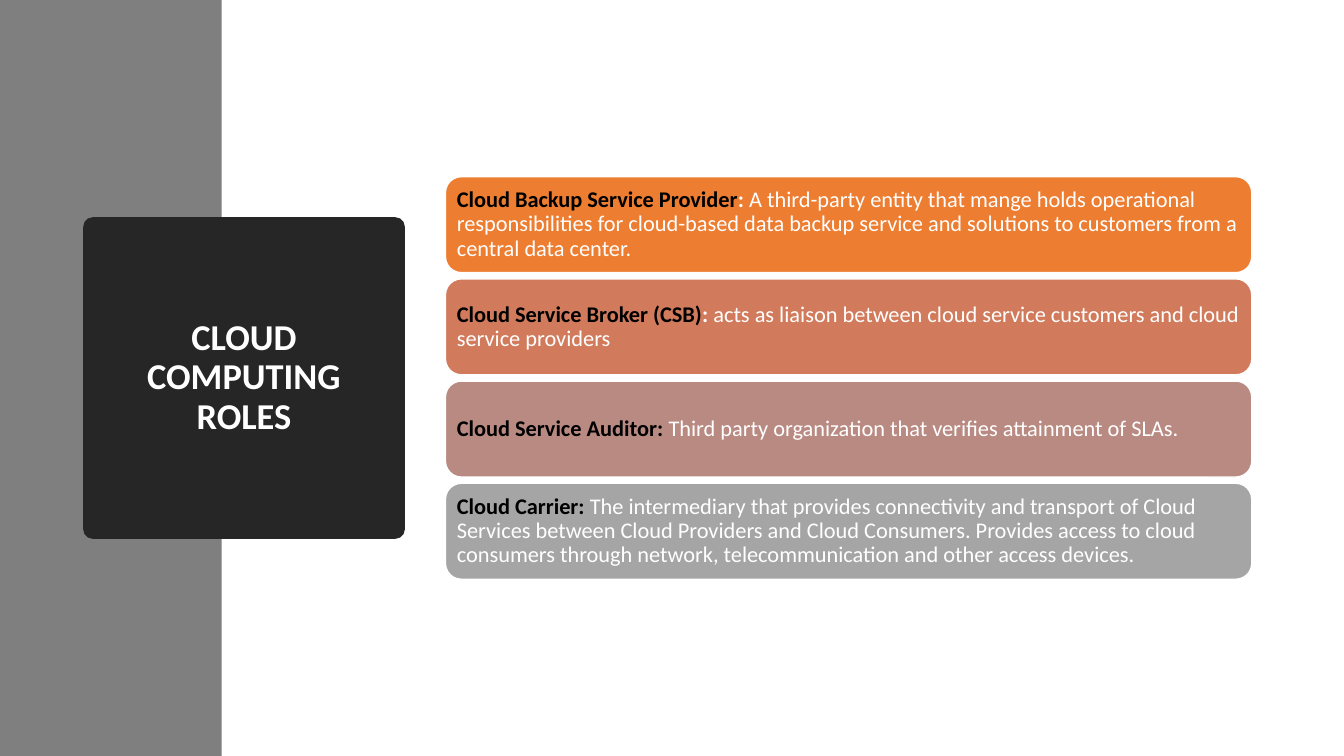
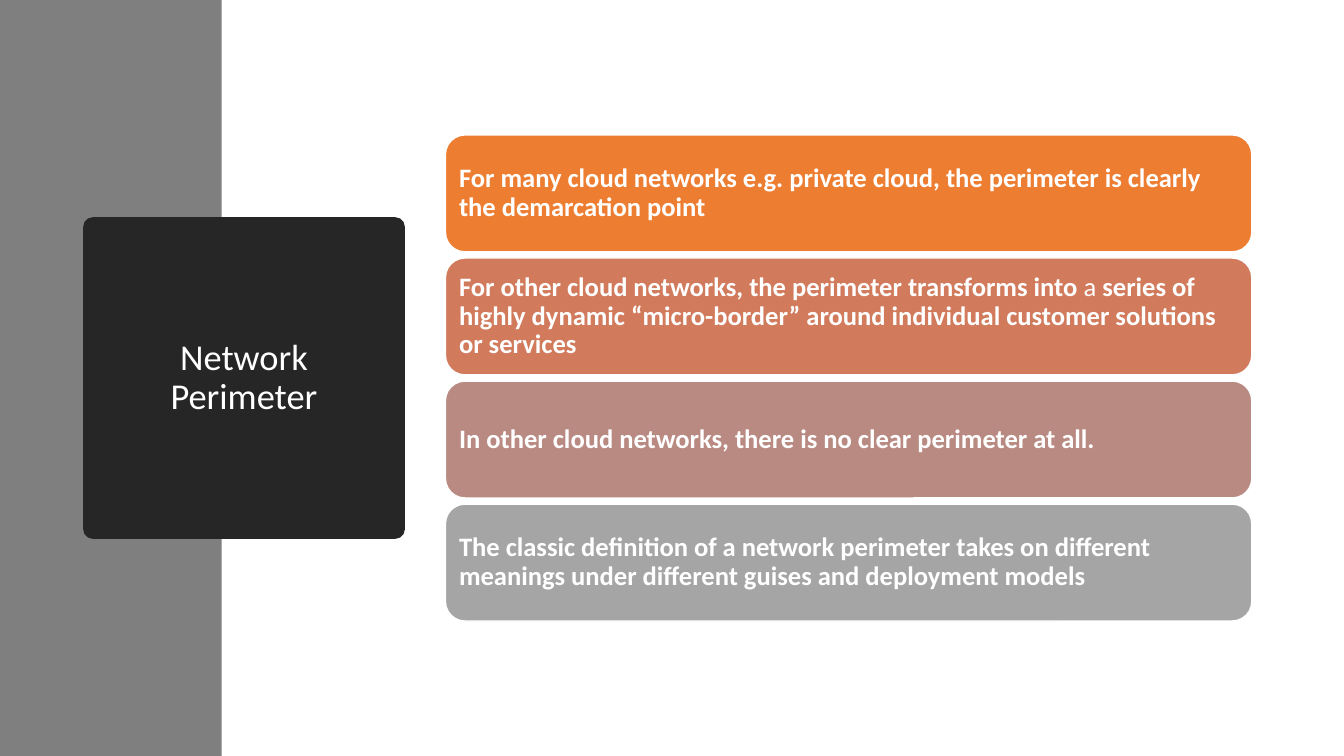
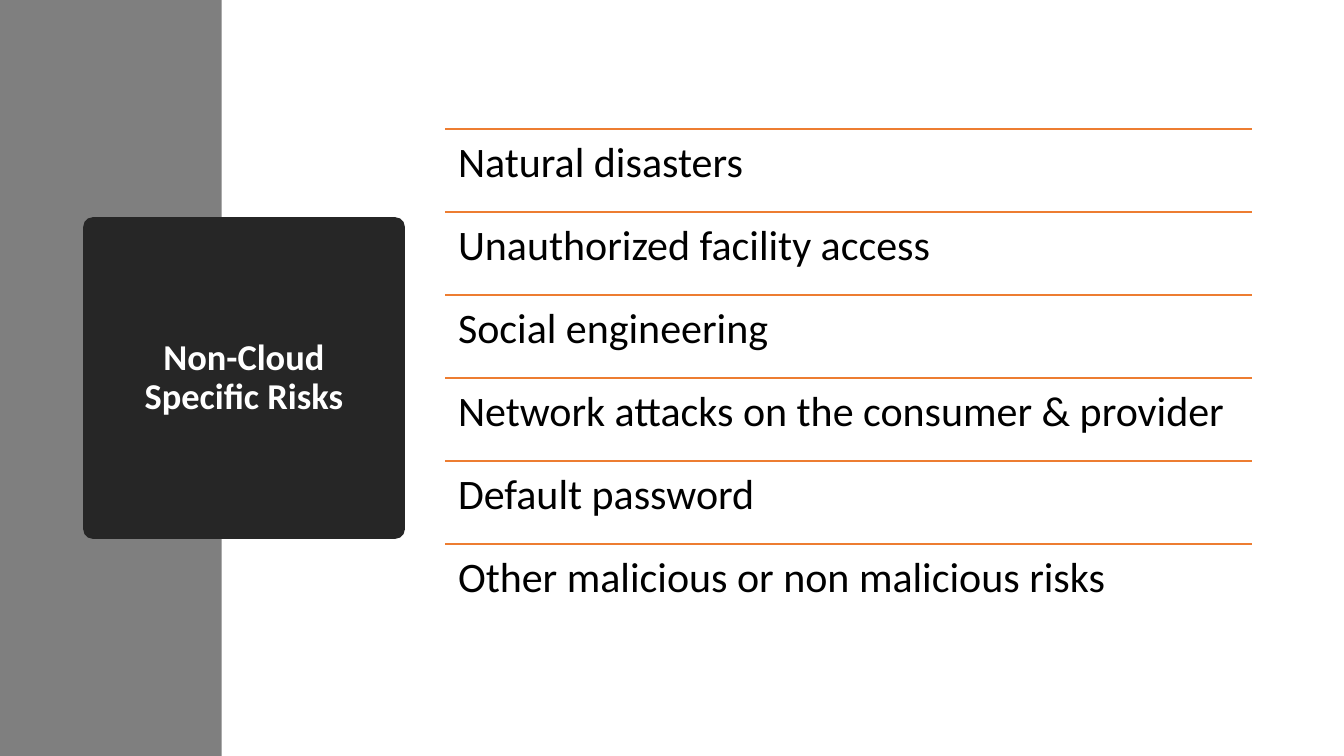
from lxml import etree
from pptx import Presentation
from pptx.dml.color import RGBColor
from pptx.enum.shapes import MSO_CONNECTOR, MSO_SHAPE
from pptx.enum.text import MSO_ANCHOR, PP_ALIGN
from pptx.oxml.ns import qn
from pptx.util import Pt

RECT, ROUND = MSO_SHAPE.RECTANGLE, MSO_SHAPE.ROUNDED_RECTANGLE
STRAIGHT = MSO_CONNECTOR.STRAIGHT
TOP, MIDDLE = MSO_ANCHOR.TOP, MSO_ANCHOR.MIDDLE
LEFT, CENTER = PP_ALIGN.LEFT, PP_ALIGN.CENTER

SLIDE_W, SLIDE_H = 960, 540
BODY_X, BODY_W = 318.2, 576
WHITE, BLACK, ORANGE = "FFFFFF", "000000", "ED7D31"
BAND, TITLE_FILL = "7F7F7F", "262626"
CARD_FILLS = [ORANGE, "D17B5C", "B98A82", "A5A5A5"]
CARD_GAP = 4.4
ROW_H = 59.3

TERM = {"bold": True, "color": BLACK}
COLON = {"bold": True, "color": WHITE}
PLAIN = {"bold": False, "color": WHITE}
STRONG = COLON

ROLES = [
    [("Cloud Backup Service Provider", TERM), (":", COLON),
     (" A third-party entity that mange holds operational responsibilities for "
      "cloud-based data backup service and solutions to customers from a central "
      "data center.", PLAIN)],
    [("Cloud Service Broker (CSB)", TERM), (":", COLON),
     (" acts as liaison between cloud service customers and cloud service "
      "providers", PLAIN)],
    [("Cloud Service Auditor:", TERM),
     (" Third party organization that verifies attainment of SLAs.", PLAIN)],
    [("Cloud Carrier:", TERM),
     (" The intermediary that provides connectivity and transport of Cloud Services "
      "between Cloud Providers and Cloud Consumers. Provides access to cloud "
      "consumers through network, telecommunication and other access devices.", PLAIN)],
]
PERIMETERS = [
    [("For many cloud networks e.g. private cloud, the perimeter is clearly the "
      "demarcation point", STRONG)],
    [("For other cloud networks, the perimeter transforms into", STRONG), (" a ", PLAIN),
     ("series of highly dynamic “micro-border” around individual customer solutions "
      "or services", STRONG)],
    [("In other cloud networks, there is no clear perimeter at all.", STRONG)],
    [("The classic definition of a network perimeter takes on different meanings "
      "under different guises and deployment models", STRONG)],
]
RISKS = [
    "Natural disasters",
    "Unauthorized facility access",
    "Social engineering",
    "Network attacks on the consumer & provider",
    "Default password",
    "Other malicious or non malicious risks",
]


def rgb(value):
    return RGBColor.from_string(value)


class Deck:
    font = "Calibri"

    def __init__(self):
        self.prs = Presentation()
        self.prs.slide_width, self.prs.slide_height = Pt(SLIDE_W), Pt(SLIDE_H)

    def slide(self, title, bold=True):
        self.s = self.prs.slides.add_slide(self.prs.slide_layouts[6])
        self.shape(RECT, 0, 0, 158.4, SLIDE_H, BAND)
        side = 229.8
        sp = self.shape(ROUND, 59.4, (SLIDE_H - side) / 2, side, side, TITLE_FILL)
        sp.adjustments[0] = 0.03
        self.text(sp, [(title, {"bold": bold, "color": WHITE})], 26, 32, align=CENTER)

    def shape(self, kind, x, y, w, h, fill, line=None):
        sp = self.s.shapes.add_shape(kind, Pt(x), Pt(y), Pt(w), Pt(h))
        sp.shadow.inherit = False
        sp.fill.solid()
        sp.fill.fore_color.rgb = rgb(fill)
        if line:
            sp.line.color.rgb = rgb(line)
            sp.line.width = Pt(1)
        else:
            sp.line.fill.background()
        return sp

    def text(self, sp, runs, size, inset, anchor=MIDDLE, align=LEFT):
        tf = sp.text_frame
        frame = {"word_wrap": True, "vertical_anchor": anchor}
        frame.update({f"margin_{side}": Pt(inset)
                      for side in ("left", "top", "right", "bottom")})
        for name, value in frame.items():
            setattr(tf, name, value)
        p = tf.paragraphs[0]
        p.alignment, p.line_spacing = align, 0.9
        for words, style in runs:
            r = p.add_run()
            r.text = words
            r.font.color.rgb = rgb(style["color"])
            font = {"name": self.font, "size": Pt(size), "bold": style["bold"]}
            for name, value in font.items():
                setattr(r.font, name, value)

    def rule(self, y):
        line = self.s.shapes.add_connector(
            STRAIGHT, Pt(BODY_X), Pt(y), Pt(BODY_X + BODY_W), Pt(y))
        line.line.color.rgb = rgb(ORANGE)
        line.line.width = Pt(1)
        etree.SubElement(line._element.spPr, qn("a:effectLst"))

    def cards(self, items, height, size):
        pitch = height + CARD_GAP
        top = (SLIDE_H - len(items) * pitch + CARD_GAP) / 2
        for i, (runs, fill) in enumerate(zip(items, CARD_FILLS)):
            sp = self.shape(ROUND, BODY_X, top + i * pitch, BODY_W, height, fill, WHITE)
            self.text(sp, runs, size, 0.3 * size)

    def ruled_list(self, items, size):
        top = (SLIDE_H - len(items) * ROW_H) / 2
        for i, item in enumerate(items):
            y = top + i * ROW_H
            self.rule(y)
            box = self.s.shapes.add_textbox(Pt(BODY_X), Pt(y), Pt(BODY_W), Pt(ROW_H))
            self.text(box, [(item, {"bold": False, "color": BLACK})],
                      size, 0.3 * size, anchor=TOP)


def main():
    deck = Deck()
    deck.slide("CLOUD COMPUTING ROLES")
    deck.cards(ROLES, 68.6, 16)
    deck.slide("Network Perimeter", bold=False)
    deck.cards(PERIMETERS, 83.5, 19)
    deck.slide("Non-Cloud Specific Risks")
    deck.ruled_list(RISKS, 30)
    deck.prs.save("out.pptx")


if __name__ == "__main__":
    main()
